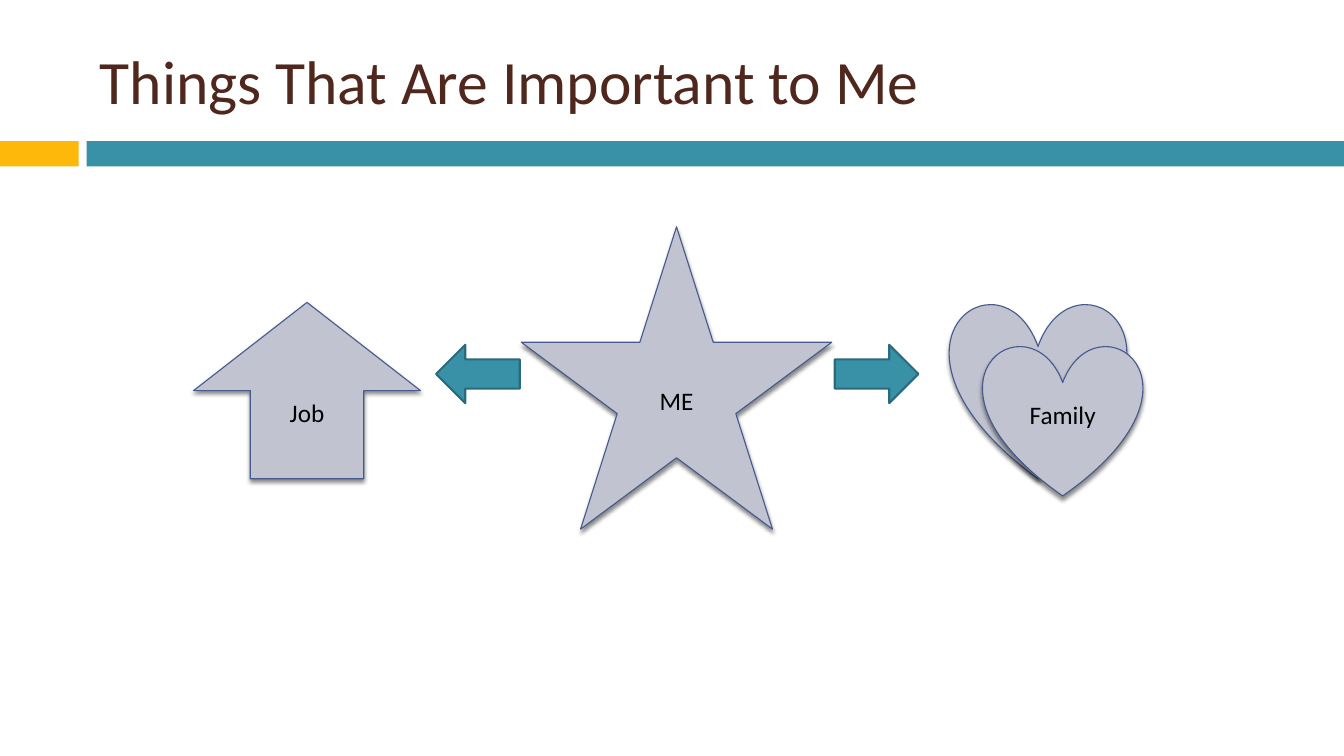
from pptx import Presentation
from pptx.dml.color import RGBColor
from pptx.enum.shapes import MSO_SHAPE
from pptx.enum.text import MSO_ANCHOR, PP_ALIGN
from pptx.oxml import parse_xml
from pptx.oxml.ns import nsdecls
from pptx.util import Inches, Pt

# Content
WIDTH, HEIGHT = 13.33, 7.5
FONT = "Calibri"
TITLE = "Things That Are Important to Me"
TITLE_BOX = (0.89, 0.25, 11.89, 1.08)
BAND_TOP, BAND_HEIGHT = 1.4, 0.25
BANDS = [(0, 0.78, "FEB80A"), (0.86, WIDTH - 0.86, "3891A7")]  # left, width, fill
STAR = (5.17, 2.25, 3.08, 3)
FIGURES = [
    (MSO_SHAPE.UP_ARROW, (1.92, 3, 2.25, 1.75), "Job"),
    (MSO_SHAPE.HEART, (9.42, 3, 1.75, 1.75), ""),
    (MSO_SHAPE.HEART, (9.75, 3.42, 1.58, 1.5), "Family"),
]
ARROW_W, ARROW_H, ARROW_TOP, ARROW_GAP = 0.83, 0.58, 3.42, 0.03

prs = Presentation()
prs.slide_width, prs.slide_height = Inches(WIDTH), Inches(HEIGHT)
slide = prs.slides.add_slide(prs.slide_layouts[6])


def rgb(value):
    return RGBColor.from_string(value)


def write(sp, text, size, color, align):
    tf = sp.text_frame
    tf.word_wrap = True
    tf.vertical_anchor = MSO_ANCHOR.MIDDLE
    p = tf.paragraphs[0]
    p.text = text
    p.alignment = align
    p.font.name, p.font.size = FONT, Pt(size)
    p.font.color.rgb = rgb(color)


def add_preset(kind, box, fill, line=None, line_width=0):
    sp = slide.shapes.add_shape(kind, *map(Inches, box))
    sp.shadow.inherit = False
    sp.fill.solid()
    sp.fill.fore_color.rgb = rgb(fill)
    if line:
        sp.line.color.rgb = rgb(line)
        sp.line.width = Pt(line_width)
    else:
        sp.line.fill.background()
    return sp


def add_figure(kind, box, label):
    sp = add_preset(kind, box, "C1C4D0", "475A8D", 0.79)
    effects = sp._element.spPr.find(
        "{http://schemas.openxmlformats.org/drawingml/2006/main}effectLst")
    effects.append(parse_xml(
        f'<a:outerShdw {nsdecls("a")} blurRad="{Pt(3)}" dist="{Pt(2.4)}" '
        'dir="5400000" rotWithShape="0"><a:srgbClr val="000000">'
        '<a:alpha val="45000"/></a:srgbClr></a:outerShdw>'))
    if label:
        write(sp, label, 18, "000000", PP_ALIGN.CENTER)


# Bands and title
for left, width, fill in BANDS:
    add_preset(MSO_SHAPE.RECTANGLE, (left, BAND_TOP, width, BAND_HEIGHT), fill)
title = slide.shapes.add_textbox(*map(Inches, TITLE_BOX))
write(title, TITLE, 44, "4F271C", PP_ALIGN.LEFT)

# Star with an arrow on each side
add_figure(MSO_SHAPE.STAR_5_POINT, STAR, "ME")
star_left, star_right = STAR[0], STAR[0] + STAR[2]
for kind, left in [
    (MSO_SHAPE.RIGHT_ARROW, star_right + ARROW_GAP),
    (MSO_SHAPE.LEFT_ARROW, star_left - ARROW_GAP / 2 - ARROW_W),
]:
    add_preset(kind, (left, ARROW_TOP, ARROW_W, ARROW_H), "3891A7", "296B7C", 1.5)

# Job and family
for kind, box, label in FIGURES:
    add_figure(kind, box, label)

prs.save("out.pptx")
